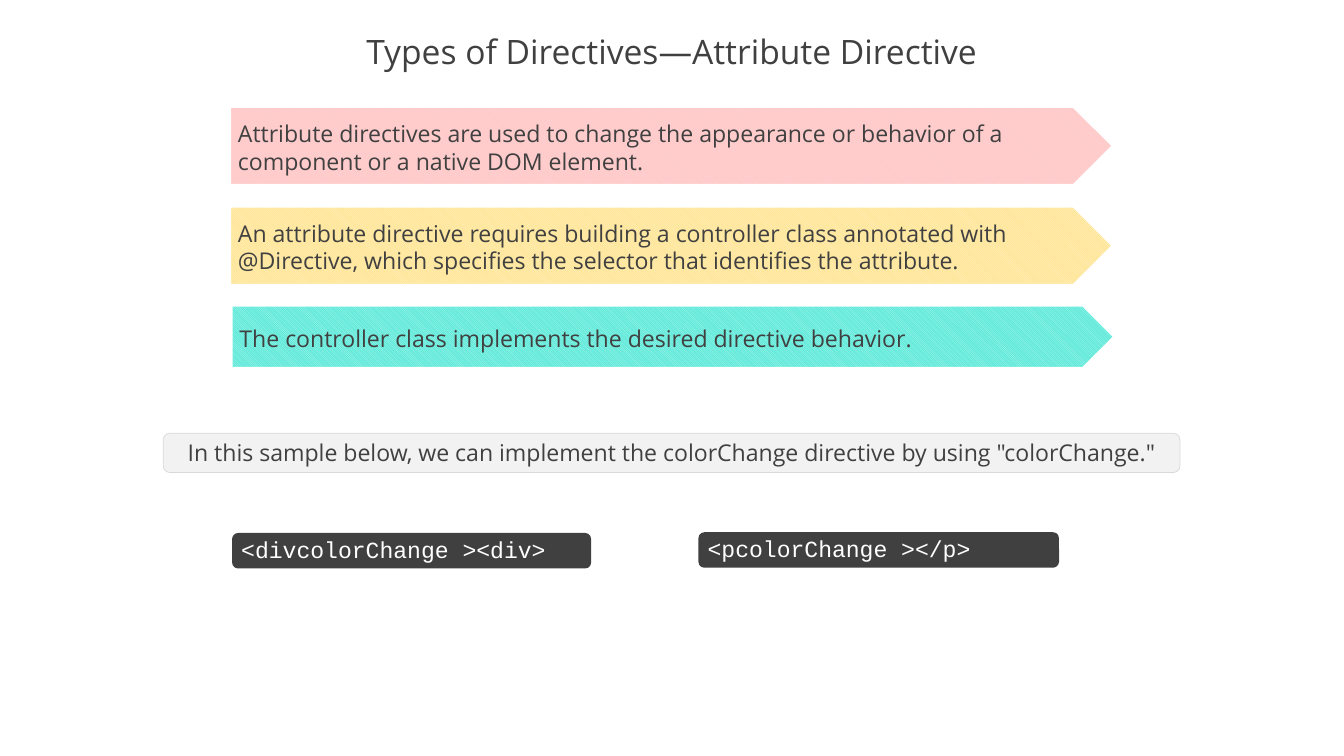
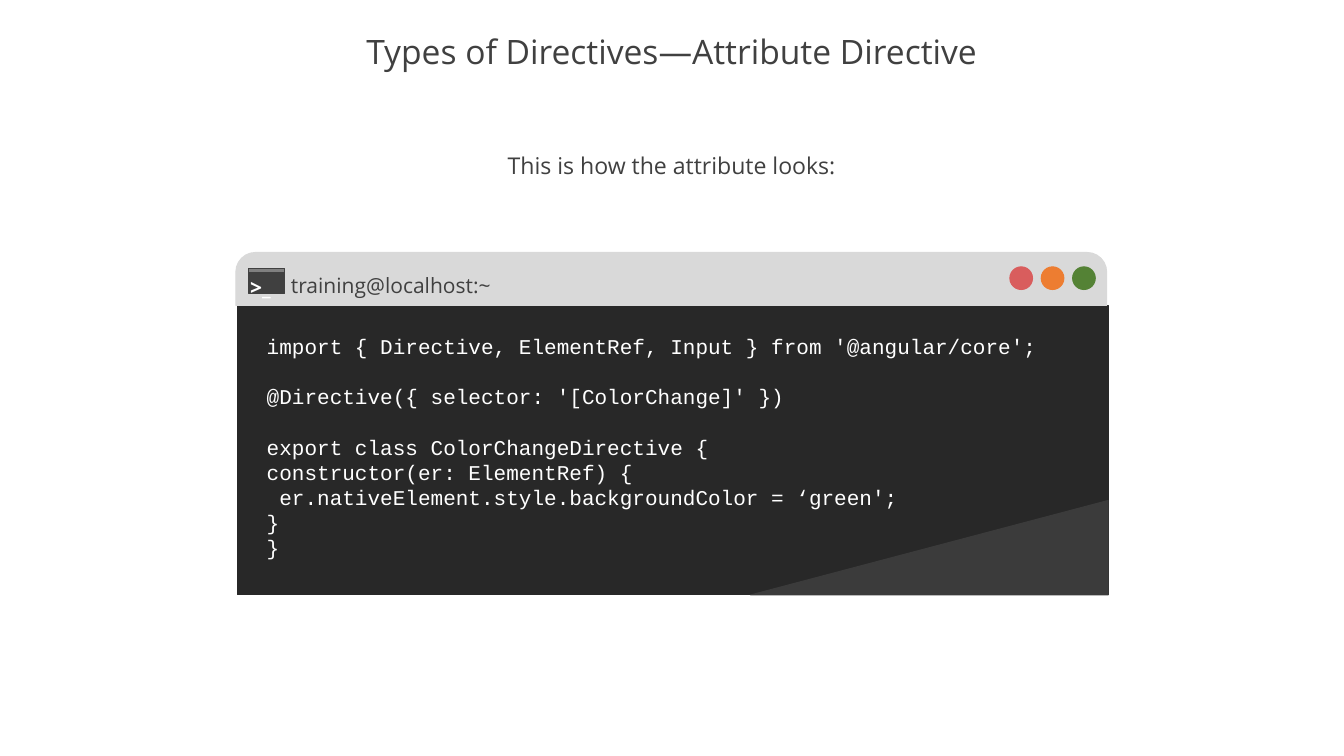
from pptx import Presentation
from pptx.dml.color import RGBColor
from pptx.enum.dml import MSO_PATTERN
from pptx.enum.shapes import MSO_SHAPE
from pptx.enum.text import MSO_ANCHOR, MSO_AUTO_SIZE, PP_ALIGN
from pptx.util import Inches, Pt

SLIDE_W, SLIDE_H = 17.78, 10
BODY_FONT, CODE_FONT = "Open Sans", "Courier New"
WHITE = RGBColor(0xFF, 0xFF, 0xFF)
INK = RGBColor(0x40, 0x40, 0x40)
NOTE_FILL = RGBColor(0xF2, 0xF2, 0xF2)
SILVER = RGBColor(0xD9, 0xD9, 0xD9)
ICON_BAR = RGBColor(0x80, 0x80, 0x80)
SCREEN = RGBColor(0x28, 0x28, 0x28)
GLARE = RGBColor(0x3B, 0x3B, 0x3B)
RED = RGBColor(0xD9, 0x5D, 0x5D)
ORANGE = RGBColor(0xED, 0x7D, 0x31)
GREEN = RGBColor(0x54, 0x82, 0x35)
PINK_STRIPE, PINK = RGBColor(0xFF, 0xD9, 0xD9), RGBColor(0xFF, 0xC9, 0xC9)
GOLD_STRIPE, GOLD = RGBColor(0xFF, 0xF2, 0xCC), RGBColor(0xFF, 0xE6, 0x99)
TEAL_STRIPE, TEAL = RGBColor(0xB8, 0xF6, 0xEF), RGBColor(0x60, 0xEA, 0xDA)

TITLE = "Types of Directives—Attribute Directive"
BANNERS = [
    ((3.05, 1.42, 11.66, 1.02), 0.84, PINK_STRIPE, PINK,
     "Attribute directives are used to change the appearance or behavior of a "
     "component or a native DOM element."),
    ((3.05, 2.74, 11.66, 1.02), 0.84, GOLD_STRIPE, GOLD,
     "An attribute directive requires building a controller class annotated with "
     "@Directive, which specifies the selector that identifies the attribute."),
    ((3.07, 4.05, 11.66, 0.81), 0.47, TEAL_STRIPE, TEAL,
     "The controller class implements the desired directive behavior."),
]
SAMPLE_NOTE = 'In this sample below, we can implement the colorChange directive by using "colorChange."'
SNIPPETS = [
    ((3.07, 7.05, 4.75, 0.47), "<divcolorChange ><div>"),
    ((9.24, 7.04, 4.77, 0.47), "<pcolorChange ></p>"),
]
CODE_BLOCKS = [
    ["import { Directive, ElementRef, Input } from '@angular/core';"],
    ["@Directive({ selector: '[ColorChange]' })"],
    ["export class ColorChangeDirective {",
     "constructor(er: ElementRef) {",
     " er.nativeElement.style.backgroundColor = ‘green';",
     "}",
     "}"],
]


def style_outline(shape, color, width):
    shape.shadow.inherit = False
    if color is None:
        shape.line.fill.background()
    else:
        shape.line.color.rgb = color
        shape.line.width = Pt(width)


def add_block(slide, kind, box, fill, line=None, width=1):
    block = slide.shapes.add_shape(kind, *map(Inches, box))
    block.fill.solid()
    block.fill.fore_color.rgb = fill
    style_outline(block, line, width)
    return block


def write(shape, blocks, size=22, font=BODY_FONT, color=INK, align=PP_ALIGN.LEFT,
          anchor=MSO_ANCHOR.TOP, bold=None, wrap=True, grow=True, gap=0):
    frame = shape.text_frame
    frame.word_wrap = wrap
    frame.vertical_anchor = anchor
    if grow:
        frame.auto_size = MSO_AUTO_SIZE.SHAPE_TO_FIT_TEXT
    paragraph = None
    for block in blocks:
        for row, words in enumerate(block):
            first = paragraph is None
            paragraph = frame.paragraphs[0] if first else frame.add_paragraph()
            paragraph.alignment = align
            if gap and row == 0 and not first:
                paragraph.space_before = Pt(gap)
            run = paragraph.add_run()
            run.text = words
            run.font.name = font
            run.font.size = Pt(size)
            run.font.bold = bold
            run.font.color.rgb = color
    return frame


def add_label(slide, box, words, **style):
    label = slide.shapes.add_textbox(*map(Inches, box))
    return write(label, [[words]], **style)


def add_titled_slide(deck):
    slide = deck.slides.add_slide(deck.slide_layouts[6])
    title = add_label(slide, (0, 0.35, SLIDE_W, 0.73), TITLE, size=32,
                      align=PP_ALIGN.CENTER, anchor=MSO_ANCHOR.MIDDLE, grow=False)
    title.paragraphs[0].line_spacing = 0.9
    return slide


def add_banner(slide, box, label_height, stripe, base, words):
    left, top, width, height = box
    arrow = slide.shapes.add_shape(MSO_SHAPE.PENTAGON, *map(Inches, box))
    arrow.fill.patterned()
    arrow.fill.pattern = MSO_PATTERN.LIGHT_DOWNWARD_DIAGONAL
    arrow.fill.fore_color.rgb = stripe
    arrow.fill.back_color.rgb = base
    style_outline(arrow, WHITE, 1)
    label_top = top + (height - label_height) / 2 + 0.02
    add_label(slide, (left, label_top, width, label_height), words)


def add_snippet(slide, box, code):
    chip = add_block(slide, MSO_SHAPE.ROUNDED_RECTANGLE, box, INK)
    frame = write(chip, [[code]], font=CODE_FONT, color=WHITE, anchor=MSO_ANCHOR.MIDDLE)
    frame.margin_top = 0
    frame.margin_bottom = Inches(0.05)


def add_screen(slide, box):
    left, top, width, height = box
    right, bottom = left + width, top + height
    add_block(slide, MSO_SHAPE.RECTANGLE, box, SCREEN, SCREEN)
    outline = slide.shapes.build_freeform(Inches(right), Inches(bottom - 1.25))
    outline.add_line_segments([(Inches(right), Inches(bottom)),
                               (Inches(right - 4.73), Inches(bottom))])
    glare = outline.convert_to_shape()
    glare.fill.solid()
    glare.fill.fore_color.rgb = GLARE
    style_outline(glare, GLARE, 1)


def add_title_bar(slide, box):
    left, top, width, height = box
    bar = add_block(slide, MSO_SHAPE.ROUND_2_SAME_RECTANGLE, box, SILVER, SILVER)
    bar.adjustments[0] = 0.37
    bar.adjustments[1] = 0
    for index, color in enumerate((RED, ORANGE, GREEN)):
        button = (left + 10.24 + index * 0.415, top + 0.19, 0.3, 0.3)
        add_block(slide, MSO_SHAPE.OVAL, button, color, color)
    add_label(slide, (left + 0.63, top + 0.21, 2.86, 0.44), "training@localhost:~",
              size=20, wrap=False)
    icon_left = left + 0.17
    add_block(slide, MSO_SHAPE.RECTANGLE, (icon_left, top + 0.27, 0.48, 0.27), INK, INK)
    add_block(slide, MSO_SHAPE.RECTANGLE, (icon_left, top + 0.21, 0.48, 0.05), ICON_BAR, INK)
    add_label(slide, (left + 0.09, top + 0.24, 0.48, 0.44), ">_", size=20,
              color=WHITE, bold=True, wrap=False)


def add_terminal(slide, left, top):
    add_screen(slide, (left + 0.02, top + 0.7, 11.52, 3.83))
    add_title_bar(slide, (left, top, 11.52, 0.7))
    listing = slide.shapes.add_textbox(Inches(left + 0.31), Inches(top + 1.02),
                                       Inches(10.89), Inches(3.13))
    write(listing, CODE_BLOCKS, size=20, font=CODE_FONT, color=WHITE, gap=24)


def build_usage_slide(deck):
    slide = add_titled_slide(deck)
    note = add_block(slide, MSO_SHAPE.ROUNDED_RECTANGLE, (2.16, 5.73, 13.45, 0.52),
                     NOTE_FILL, SILVER, 0.75)
    write(note, [[SAMPLE_NOTE]], align=PP_ALIGN.CENTER)
    for box, code in SNIPPETS:
        add_snippet(slide, box, code)
    for banner in BANNERS:
        add_banner(slide, *banner)


def build_code_slide(deck):
    slide = add_titled_slide(deck)
    add_terminal(slide, 3.12, 3.34)
    add_label(slide, (6.26, 1.95, 5.25, 0.47), "This is how the attribute looks:",
              align=PP_ALIGN.CENTER)


def main():
    deck = Presentation()
    deck.slide_width = Inches(SLIDE_W)
    deck.slide_height = Inches(SLIDE_H)
    build_usage_slide(deck)
    build_code_slide(deck)
    deck.save("out.pptx")


if __name__ == "__main__":
    main()
